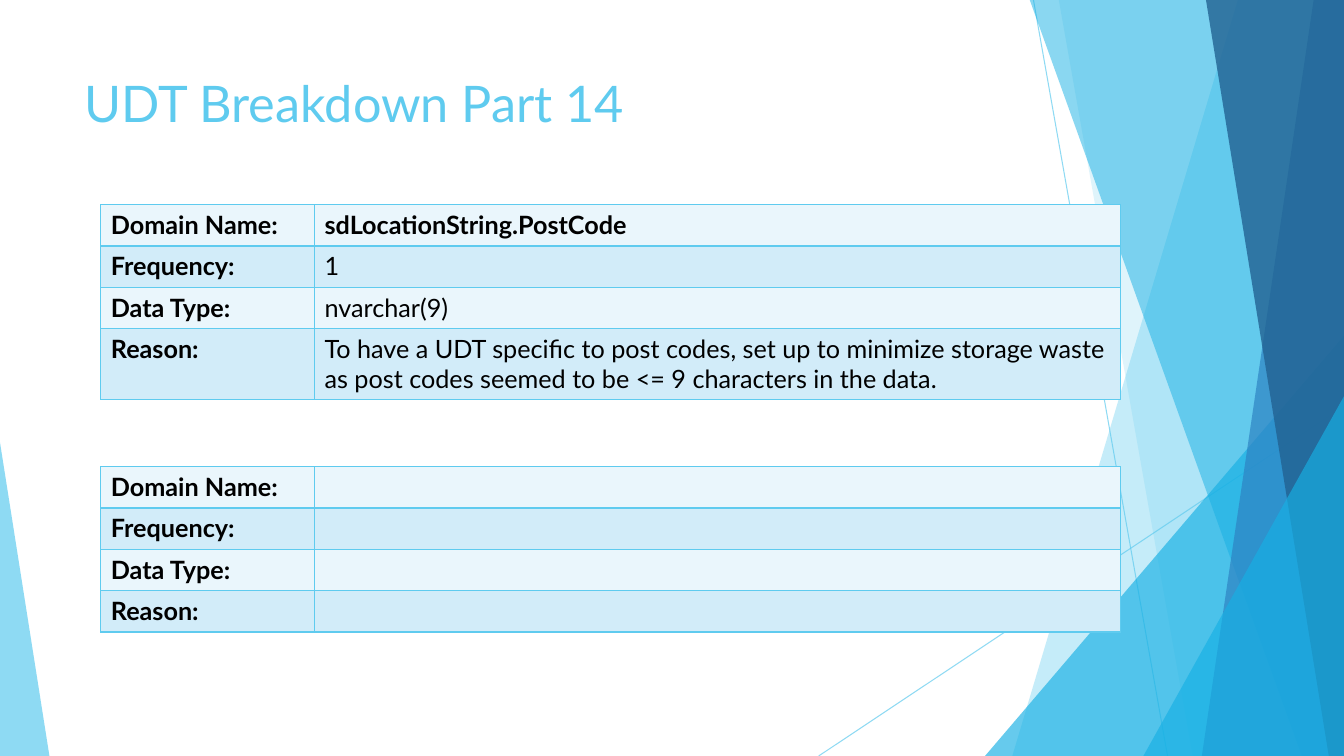
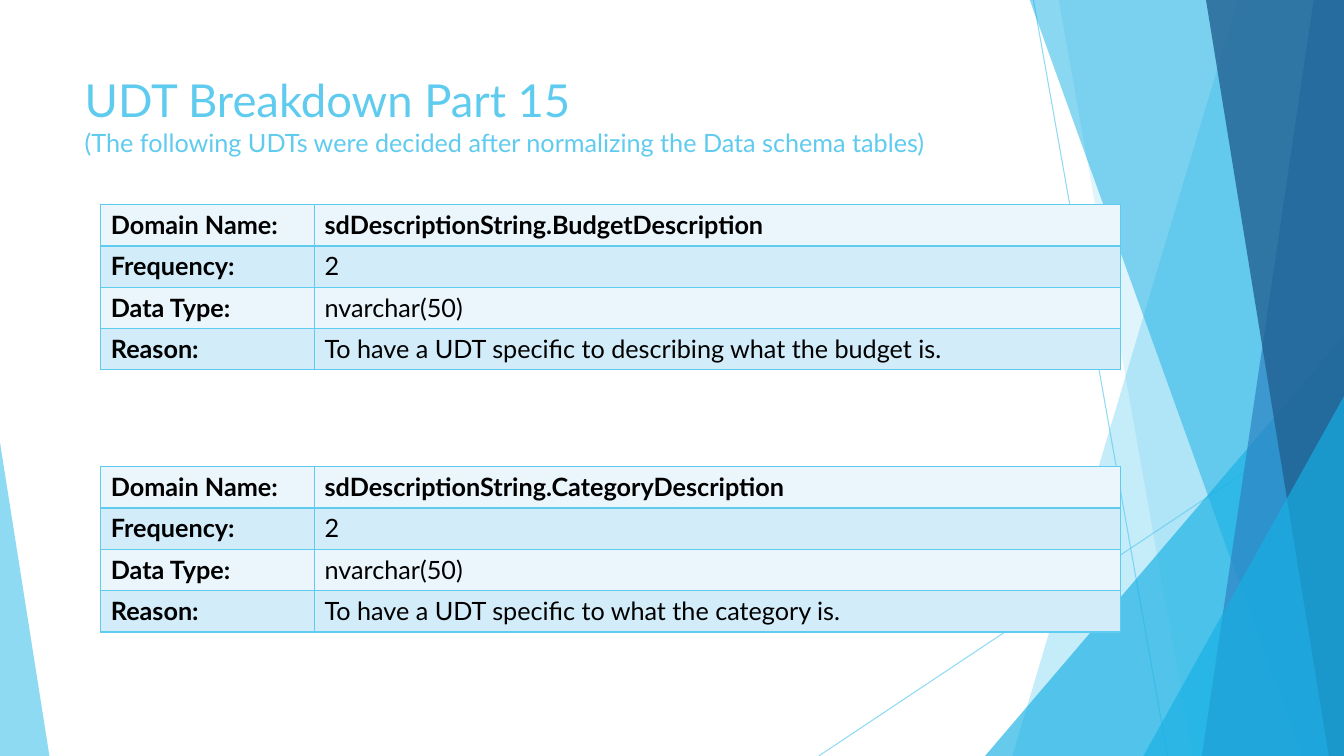
from lxml.etree import SubElement as Sub
from pptx import Presentation
from pptx.dml.color import RGBColor as Rgb
from pptx.enum.shapes import MSO_CONNECTOR as Conn, MSO_SHAPE as Shape
from pptx.enum.text import MSO_ANCHOR as Anchor, MSO_AUTO_SIZE as Fit, PP_ALIGN as Align
from pptx.oxml.ns import qn
from pptx.util import Inches, Pt

WIDE, HIGH = 13.33, 7.5
FONT = "Lato"
HEX = {
    "sky": "5FCBEF",
    "cyan": "17B0E4",
    "blue": "2E83C3",
    "navy": "226292",
    "light": "EAF6FC",
    "band": "D2ECF9",
    "text": "000000",
}
LABELS = ["Domain Name:", "Frequency:", "Data Type:", "Reason:"]

# Each slide: title, title size, note under the title, values of its two tables
SLIDES = [
    ("UDT Breakdown Part 14", 36, "", [
        ["sdLocationString.PostCode", "1", "nvarchar(9)",
         "To have a UDT specific to post codes, set up to minimize storage waste "
         "as post codes seemed to be <= 9 characters in the data."],
        [""] * 4,
    ]),
    ("UDT Breakdown Part 15", 32.4,
     "(The following UDTs were decided after normalizing the Data schema tables)", [
         ["sdDescriptionString.BudgetDescription", "2", "nvarchar(50)",
          "To have a UDT specific to describing what the budget is."],
         ["sdDescriptionString.CategoryDescription", "2", "nvarchar(50)",
          "To have a UDT specific to what the category is."],
     ]),
]


def color(name):
    return Rgb.from_string(HEX[name])


def fade(shape, alpha):
    for clr in shape.element.iter(qn("a:srgbClr")):
        Sub(clr, qn("a:alpha"), val=str(alpha * 1000))


def paint(shape, name, alpha):
    shape.shadow.inherit = False
    shape.fill.solid()
    shape.fill.fore_color.rgb = color(name)
    shape.line.fill.background()
    fade(shape, alpha)


# Facets of the backdrop
def add_ray(shapes, x1, y1, x2, y2):
    ray = shapes.add_connector(Conn.STRAIGHT, *map(Inches, (x1, y1, x2, y2)))
    ray.line.color.rgb = color("sky")
    ray.line.width = Pt(0.75)
    Sub(ray.element.spPr, qn("a:effectLst"))
    fade(ray, 70)


def add_facet(shapes, top, foot, name, alpha):
    """Fill from a slanted left edge to the right side of the slide."""
    head = -0.01
    pen = shapes.build_freeform(Inches(top), Inches(head))
    pen.add_line_segments([(Inches(x), Inches(y)) for x, y in
                           [(WIDE, head), (WIDE, HIGH), (foot, HIGH)]])
    paint(pen.convert_to_shape(), name, alpha)


def add_wedge(shapes, left, top, width, tip, name, alpha):
    """Triangle standing on the bottom edge of the slide."""
    wedge = shapes.add_shape(Shape.ISOSCELES_TRIANGLE,
                             *map(Inches, (left, top, width, HIGH - top)))
    wedge.adjustments[0] = tip
    paint(wedge, name, alpha)


def add_decor(shapes):
    add_ray(shapes, 10.25, 0, 11.58, HIGH)
    add_ray(shapes, WIDE, 4.03, 8.12, HIGH)
    add_facet(shapes, 12.28, 10.04, "sky", 36)
    add_facet(shapes, 10.5, 11.83, "sky", 20)
    add_wedge(shapes, 9.77, 3.33, 3.56, 1, "cyan", 66)
    add_facet(shapes, 10.21, 12.91, "cyan", 50)
    add_facet(shapes, 13.03, 11.92, "blue", 70)
    add_facet(shapes, 11.96, 13.18, "navy", 80)
    add_wedge(shapes, 11.34, 3.93, 1.99, 1, "cyan", 66)
    add_wedge(shapes, 0, 4.39, 0.49, 0, "sky", 70)


def share_decor(slide):
    """Draw the backdrop and move it to the layout, behind the title."""
    layout = slide.slide_layout
    for hold in list(layout.placeholders):
        if hold.placeholder_format.idx:
            hold.element.getparent().remove(hold.element)
    add_decor(slide.shapes)
    title = layout.placeholders[0].element
    for shape in list(slide.shapes):
        if not shape.is_placeholder:
            title.addprevious(shape.element)


def set_title(slide, text, size, note):
    title = slide.shapes.title
    title.left, title.top, title.width, title.height = map(
        Inches, (0.74, 0.67, 9.4, 1.23))
    frame = title.text_frame
    frame.word_wrap = True
    frame.auto_size = Fit.NONE
    frame.vertical_anchor = Anchor.TOP
    para = frame.paragraphs[0]
    para.alignment = Align.LEFT
    para.font.name = FONT
    para.font.size = Pt(size)
    para.font.color.rgb = color("sky")
    para.add_run().text = text
    if note:
        para.add_line_break()
        run = para.add_run()
        run.text = note
        run.font.size = Pt(18)


# Tables
def set_cell(cell, text, fill, bold):
    props = cell._tc.get_or_add_tcPr()
    for side in ("lnL", "lnR", "lnT", "lnB"):
        line = Sub(props, qn(f"a:{side}"), w=str(Pt(1)))
        Sub(Sub(line, qn("a:solidFill")), qn("a:srgbClr"), val=HEX["sky"])
    cell.fill.solid()
    cell.fill.fore_color.rgb = color(fill)
    para = cell.text_frame.paragraphs[0]
    if text:
        para.text = text
    para.font.name = FONT
    para.font.size = Pt(18)
    para.font.bold = bold
    para.font.color.rgb = color("text")


def add_grid(slide, left, top, values):
    cols, step = (2.12, 7.99), 0.41
    count = len(LABELS)
    table = slide.shapes.add_table(
        count, 2, *map(Inches, (left, top, sum(cols), step * count))).table
    table.first_row = table.horz_banding = False
    for col, width in zip(table.columns, cols):
        col.width = Inches(width)
    for row, pair in enumerate(zip(LABELS, values)):
        table.rows[row].height = Inches(step)
        fill = "band" if row % 2 else "light"
        for col, text in enumerate(pair):
            set_cell(table.cell(row, col), text, fill, col == 0 or row == 0)


def main():
    deck = Presentation()
    deck.slide_width, deck.slide_height = Inches(WIDE), Inches(HIGH)
    for num, (text, size, note, grids) in enumerate(SLIDES):
        slide = deck.slides.add_slide(deck.slide_layouts[5])
        if num == 0:
            share_decor(slide)
        set_title(slide, text, size, note)
        for top, values in zip((2.03, 4.63), grids):
            add_grid(slide, 1, top, values)
    deck.save("out.pptx")


if __name__ == "__main__":
    main()
